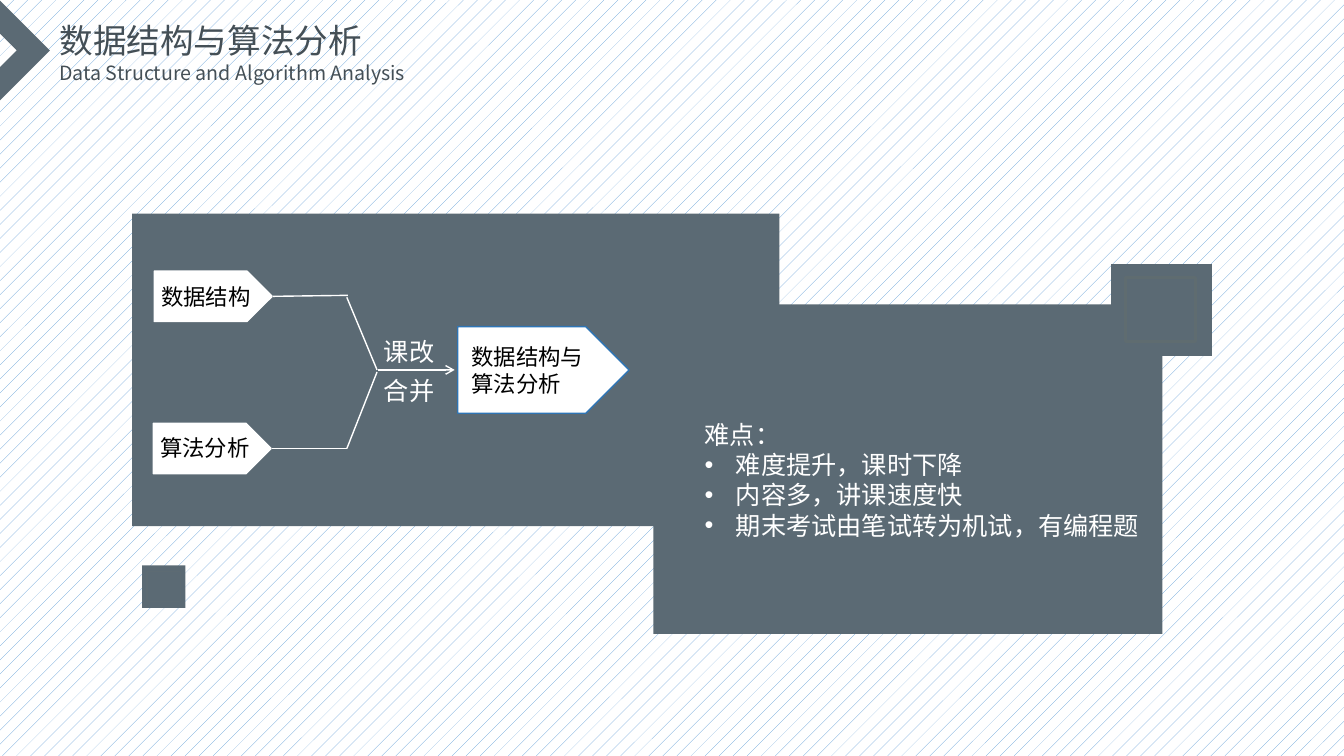
from pptx import Presentation
from pptx import util as u
from pptx.dml.color import RGBColor
from pptx.enum import dml, shapes, text
from pptx.oxml.ns import qn
from lxml import etree

SLATE, INK, WHITE, BLACK = "5B6A74", "444F56", "FFFFFF", "000000"
NOTO = "Noto Sans CJK SC"
KIND = shapes.MSO_SHAPE

deck = Presentation()
deck.slide_width, deck.slide_height = u.Inches(13.33), u.Inches(7.5)
page = deck.slides.add_slide(deck.slide_layouts[5])
items = page.shapes


def color(code):
    return RGBColor.from_string(code)


def write(box, spot, lines, size, font, code):
    sides = ("left", "top", "width", "height")
    for side, val in zip(sides, spot):
        setattr(box, side, u.Inches(val))
    frame = box.text_frame
    look = {"word_wrap": True, "auto_size": text.MSO_AUTO_SIZE.NONE,
            "vertical_anchor": text.MSO_ANCHOR.MIDDLE,
            "margin_left": u.Inches(0.1), "margin_right": u.Inches(0.1),
            "margin_top": u.Inches(0.05), "margin_bottom": u.Inches(0.05)}
    for key, val in look.items():
        setattr(frame, key, val)
    frame.text = "\n".join(lines)
    for para in frame.paragraphs:
        para.alignment = text.PP_ALIGN.LEFT
        face = para.runs[0].font
        face.size, face.name = u.Pt(size), font
        face.color.rgb = color(code)
        east = etree.SubElement(para.runs[0]._r.rPr, qn("a:ea"))
        east.set("typeface", font)
    return frame


# Background pattern
back = page.background.fill
back.patterned()
back.pattern = dml.MSO_PATTERN.PERCENT_5
back.fore_color.rgb, back.back_color.rgb = color("5B9BD5"), color(WHITE)

# Panels, frames and tags: kind, spot, fill, line, line width, turn
parts = [
    (KIND.HALF_FRAME, (-0.35, 0.15, 0.7, 0.7), SLATE, None, 0, 135),
    (KIND.RECTANGLE, (1.31, 2.12, 6.42, 3.1), SLATE, None, 0, 0),
    (KIND.RECTANGLE, (1.41, 5.61, 0.43, 0.42), SLATE, None, 0, 0),
    (KIND.RECTANGLE, (1.46, 5.67, 0.33, 0.3), None, "5D6B73", 1, 0),
    (KIND.PENTAGON, (1.53, 2.69, 1.17, 0.5), WHITE, WHITE, 1, 0),
    (KIND.PENTAGON, (1.52, 4.2, 1.17, 0.5), WHITE, WHITE, 1, 0),
    (KIND.PENTAGON, (4.54, 3.24, 1.7, 0.86), WHITE, "2E75B6", 1, 0),
    (KIND.RECTANGLE, (6.48, 3.02, 5.05, 3.27), SLATE, None, 0, 0),
    (KIND.RECTANGLE, (11.02, 2.62, 1, 0.91), SLATE, None, 0, 0),
    (KIND.RECTANGLE, (11.16, 2.75, 0.7, 0.64), None, "5F6C70", 2.25, 0),
]
for kind, spot, fill, line, width, turn in parts:
    part = items.add_shape(kind, *map(u.Inches, spot))
    part.shadow.inherit = False
    part.rotation = turn
    for paint, code in ((part.fill, fill), (part.line.fill, line)):
        if code:
            paint.solid()
            paint.fore_color.rgb = color(code)
        else:
            paint.background()
    if line:
        part.line.width = u.Pt(width)

# Merging lines, the last one with an arrowhead
lines = [(2.71, 2.94, 3.45, 2.93), (2.7, 4.45, 3.44, 4.45),
         (3.44, 2.95, 3.74, 3.67), (3.44, 4.45, 3.74, 3.69),
         (3.75, 3.67, 4.51, 3.67)]
for ends in lines:
    link = items.add_connector(shapes.MSO_CONNECTOR.STRAIGHT,
                               *map(u.Inches, ends))
    link.line.width = u.Pt(1)
    link.line.color.rgb = color(WHITE)
    etree.SubElement(link._element.spPr, qn("a:effectLst"))
tip = etree.SubElement(link.line._ln, qn("a:tailEnd"))
tip.set("type", "arrow")

# Title and labels
write(items.title, (0.49, 0.15, 3.67, 0.5), ["数据结构与算法分析"], 24, NOTO, INK)
labels = [
    ((0.49, 0.55, 3.93, 0.34), "Data Structure and Algorithm Analysis", 14, NOTO, INK),
    ((1.5, 2.76, 1.24, 0.37), "数据结构", 16, "Calibri", BLACK),
    ((1.49, 4.26, 1.24, 0.37), "算法分析", 16, "Calibri", BLACK),
    ((4.58, 3.35, 1.33, 0.64), "数据结构与算法分析", 16, "Calibri", BLACK),
    ((3.71, 3.29, 0.82, 0.4), "课改", 18, "Calibri", WHITE),
    ((3.71, 3.67, 0.82, 0.4), "合并", 18, "Calibri", WHITE),
]
for spot, words, *style in labels:
    write(items.add_textbox(0, 0, 0, 0), spot, [words], *style)

# Difficulties, bulleted below their heading
notes = ["难点：", "难度提升，课时下降", "内容多，讲课速度快",
         "期末考试由笔试转为机试，有编程题"]
frame = write(items.add_textbox(0, 0, 0, 0), (6.89, 4.11, 4.64, 1.61),
              notes, 18, "Calibri", WHITE)
frame.vertical_anchor = text.MSO_ANCHOR.TOP
for para in frame.paragraphs[1:]:
    props = para._p.get_or_add_pPr()
    props.set("marL", str(u.Inches(0.31)))
    props.set("indent", str(-u.Inches(0.31)))
    etree.SubElement(props, qn("a:buFont")).set("typeface", "Arial")
    etree.SubElement(props, qn("a:buChar")).set("char", "•")

deck.save("out.pptx")
